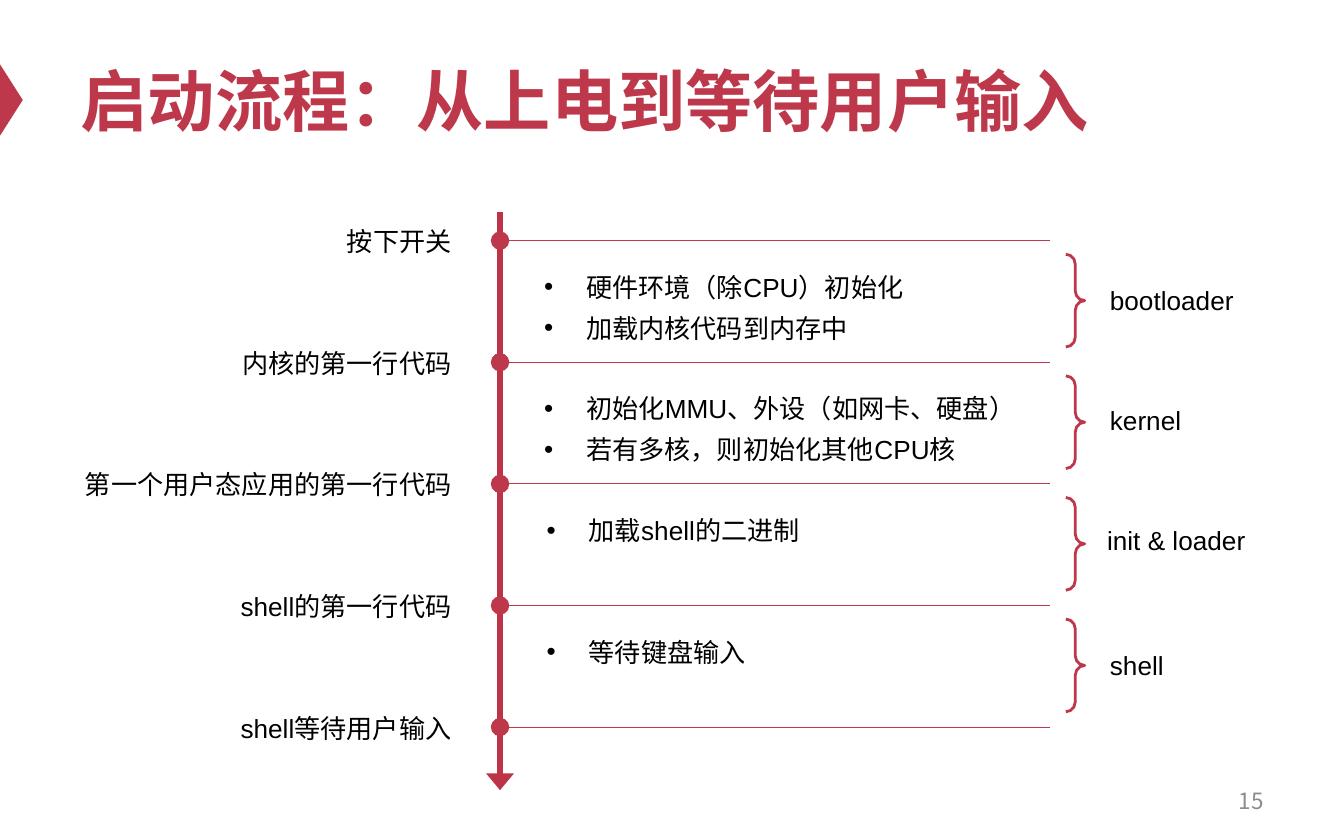
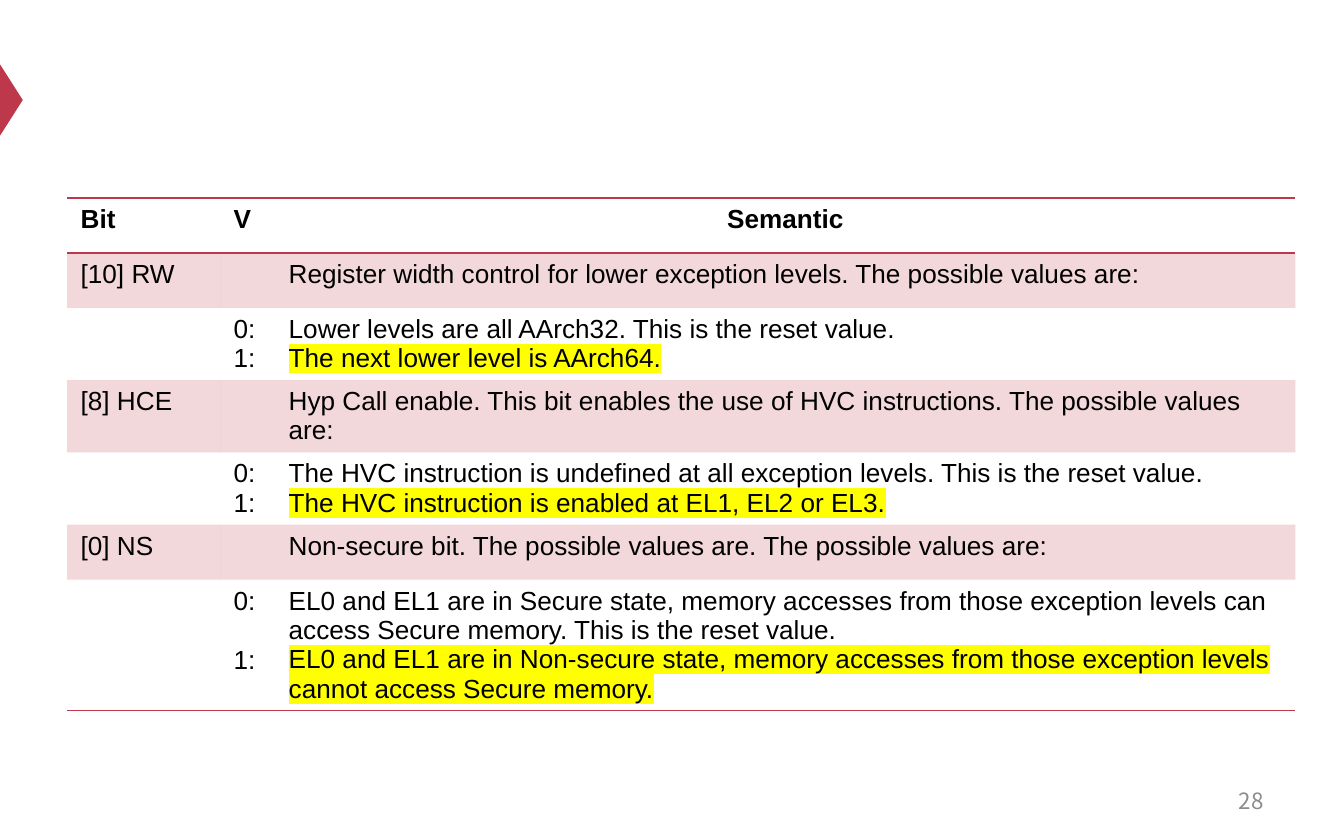
from collections import namedtuple

from lxml.etree import SubElement
from pptx import Presentation
from pptx.dml.color import RGBColor
from pptx.enum.shapes import MSO_CONNECTOR as Connector, MSO_SHAPE as Preset
from pptx.enum.text import MSO_ANCHOR as Anchor, MSO_AUTO_SIZE as AutoSize, PP_ALIGN as Align
from pptx.oxml.ns import qn
from pptx.util import Pt

COLORS = {"accent": "BE384B", "axis": "BD3347", "text": "000000", "page": "8C8C8C", "mark": "FFFF00"}
FONT = "Arial"
PAGE_FONT = "Noto Sans CJK SC"
NO_STYLE = "{2D5ABB26-0587-4C30-8999-92F81FD0307C}"
TITLE_ONLY, BLANK = 5, 6

Box = namedtuple("Box", "left top width height")
Moment = namedtuple("Moment", "label width")
Stage = namedtuple("Stage", "name left drop width steps indent")

TITLE_BOX = Box(36, 18, 648, 70.5)
MARKER_BOX = Box(-13, 47.5, 38.2, 12.2)
PAGE_BOX = Box(516, 417, 168, 24)
TIMELINE_BOX = Box(36, 113.8, 640, 309.5)
TABLE_BOX = Box(36, 106, 658, 206.5)

MOMENTS = [
    Moment("按下开关", 71.5),
    Moment("内核的第一行代码", 127.5),
    Moment("第一个用户态应用的第一行代码", 212.5),
    Moment("shell的第一行代码", 128),
    Moment("shell等待用户输入", 128),
]
STAGES = [
    Stage("bootloader", 551.5, 20, 81.5, ["硬件环境（除CPU）初始化", "加载内核代码到内存中"], 248.4),
    Stage("kernel", 551.5, 19, 52.5, ["初始化MMU、外设（如网卡、硬盘）", "若有多核，则初始化其他CPU核"], 248.4),
    Stage("init & loader", 550, 18, 89.5, ["加载shell的二进制"], 249.8),
    Stage("shell", 551.5, 20, 44, ["等待键盘输入"], 249.8),
]
COLUMN_WIDTHS = [82, 29.5, 546.5]
REGISTER_BITS = [
    (
        "[10] RW",
        "Register width control for lower exception levels. The possible values are:",
        "Lower levels are all AArch32. This is the reset value.",
        "The next lower level is AArch64.",
    ),
    (
        "[8] HCE",
        "Hyp Call enable. This bit enables the use of HVC instructions. The possible values are:",
        "The HVC instruction is undefined at all exception levels. This is the reset value.",
        "The HVC instruction is enabled at EL1, EL2 or EL3.",
    ),
    (
        "[0] NS",
        "Non-secure bit. The possible values are. The possible values are:",
        "EL0 and EL1 are in Secure state, memory accesses from those exception levels can access "
        "Secure memory. This is the reset value.",
        "EL0 and EL1 are in Non-secure state, memory accesses from those exception levels cannot "
        "access Secure memory.",
    ),
]


def rgb(color):
    return RGBColor.from_string(COLORS[color])


def points(box):
    return [Pt(length) for length in box]


def style(paragraph, size=14, color="text", font=FONT, bold=False, align=Align.LEFT):
    paragraph.alignment = align
    paragraph.font.size = Pt(size)
    paragraph.font.name = font
    paragraph.font.bold = bold
    paragraph.font.color.rgb = rgb(color)


def write_lines(frame, lines, **look):
    for index, line in enumerate(lines):
        paragraph = frame.add_paragraph() if index else frame.paragraphs[0]
        paragraph.text = line
        style(paragraph, **look)


def add_text(slide, box, text, wrap=True, anchor=Anchor.TOP, **look):
    frame = slide.shapes.add_textbox(*points(box)).text_frame
    frame.word_wrap = wrap
    frame.auto_size = AutoSize.NONE if wrap else AutoSize.SHAPE_TO_FIT_TEXT
    frame.vertical_anchor = anchor
    write_lines(frame, [text], **look)


def add_bullets(slide, box, steps):
    frame = slide.shapes.add_textbox(*points(box)).text_frame
    frame.word_wrap = True
    for index, step in enumerate(steps):
        paragraph = frame.add_paragraph() if index else frame.paragraphs[0]
        paragraph.text = step
        paragraph.line_spacing = 1.3
        properties = paragraph._p.get_or_add_pPr()
        properties.set("marL", str(Pt(22.5)))
        properties.set("indent", str(-Pt(22.5)))
        SubElement(properties, qn("a:buFont"), typeface=FONT)
        SubElement(properties, qn("a:buChar"), char="•")
        style(paragraph)


def add_line(slide, start, end, color, weight, tip, kind, length):
    line = slide.shapes.add_connector(Connector.STRAIGHT, *points(start + end))
    line.line.color.rgb = rgb(color)
    line.line.width = Pt(weight)
    SubElement(line.line._get_or_add_ln(), qn(tip), type=kind, w="lg", len=length)
    SubElement(line._element.spPr, qn("a:effectLst"))


def add_brace(slide, box):
    brace = slide.shapes.add_shape(Preset.RIGHT_BRACE, *points(box))
    brace.shadow.inherit = False
    brace.adjustments[0] = 0.52
    brace.fill.background()
    brace.line.color.rgb = rgb("accent")
    brace.line.width = Pt(1.5)


def add_marker(slide, box):
    marker = slide.shapes.add_shape(Preset.ISOSCELES_TRIANGLE, *points(box))
    marker.shadow.inherit = False
    marker.rotation = 90
    marker.fill.solid()
    marker.fill.fore_color.rgb = rgb("accent")
    marker.line.fill.background()


def add_title(slide, box, text):
    title = slide.shapes.title
    title.left, title.top, title.width, title.height = points(box)
    title.text_frame.auto_size = AutoSize.NONE
    title.text_frame.vertical_anchor = Anchor.MIDDLE
    write_lines(title.text_frame, [text], size=36, color="accent", bold=True)


def start_slide(deck, layout, page):
    slide = deck.slides.add_slide(deck.slide_layouts[layout])
    add_marker(slide, MARKER_BOX)
    add_text(slide, PAGE_BOX, page, anchor=Anchor.MIDDLE,
             size=12, color="page", font=PAGE_FONT, align=Align.RIGHT)
    return slide


def add_timeline(slide, box):
    axis = box.left + 231.9
    gap = 65.15
    first = box.top + 15.1
    add_line(slide, (axis, box.top), (axis, box.top + box.height), "axis", 3,
             "a:tailEnd", "triangle", "med")
    for index, moment in enumerate(MOMENTS):
        y = first + index * gap
        add_text(slide, Box(axis - 18.8 - moment.width, y - 11.6, moment.width, 24.5),
                 moment.label, align=Align.RIGHT)
        add_line(slide, (axis, y), (axis + 294.6, y), "accent", 0.5, "a:headEnd", "oval", "lg")
    for index, stage in enumerate(STAGES):
        y = first + index * gap
        add_bullets(slide, Box(box.left + stage.indent, y + 7.8, 278.5, 5.4 + 21.8 * len(stage.steps)),
                    stage.steps)
        add_brace(slide, Box(box.left + 535, y + 7.3, 10.1, 49.7))
        add_text(slide, Box(box.left + stage.left, y + stage.drop, stage.width, 24.5),
                 stage.name, wrap=False)


def add_border(cell, edge):
    border = SubElement(cell._tc.get_or_add_tcPr(), qn(edge), w=str(Pt(1)))
    SubElement(SubElement(border, qn("a:solidFill")), qn("a:srgbClr"), val=COLORS["accent"])


def tint(cell):
    cell.fill.solid()
    cell.fill.fore_color.rgb = rgb("accent")
    color = next(cell._tc.tcPr.iter(qn("a:srgbClr")))
    SubElement(color, qn("a:alpha"), val="20000")


def highlight(paragraph):
    mark = SubElement(paragraph.runs[0]._r.get_or_add_rPr(), qn("a:highlight"))
    SubElement(mark, qn("a:srgbClr"), val=COLORS["mark"])


def add_register_table(slide, box):
    rows = [(["Bit"], ["V"], ["Semantic"])]
    for bit, meaning, zero, one in REGISTER_BITS:
        rows += [([bit], [""], [meaning]), ([""], ["0:", "1:"], [zero, one])]
    table = slide.shapes.add_table(len(rows), len(COLUMN_WIDTHS), *points(box)).table
    table.first_row = table.horz_banding = False
    table._tbl.tblPr.find(qn("a:tableStyleId")).text = NO_STYLE
    for column, width in zip(table.columns, COLUMN_WIDTHS):
        column.width = Pt(width)
    last = len(rows) - 1
    for r, row in enumerate(rows):
        for c, lines in enumerate(row):
            cell = table.cell(r, c)
            centred = r == 0 and c == 2
            write_lines(cell.text_frame, lines, bold=r == 0, align=Align.CENTER if centred else Align.LEFT)
            if r == 0:
                add_border(cell, "a:lnT")
            if r in (0, last):
                add_border(cell, "a:lnB")
            if r % 2:
                tint(cell)
            else:
                cell.fill.background()
            if c == 2 and len(lines) == 2:
                highlight(cell.text_frame.paragraphs[1])
    table.cell(last, 1).text_frame.paragraphs[1].space_before = Pt(16)


def build_boot_slide(deck):
    slide = start_slide(deck, TITLE_ONLY, "15")
    add_title(slide, TITLE_BOX, "启动流程：从上电到等待用户输入")
    add_timeline(slide, TIMELINE_BOX)


def build_register_slide(deck):
    slide = start_slide(deck, BLANK, "28")
    add_register_table(slide, TABLE_BOX)


def main():
    deck = Presentation()
    deck.slide_width, deck.slide_height = Pt(720), Pt(450)
    build_boot_slide(deck)
    build_register_slide(deck)
    deck.save("out.pptx")


if __name__ == "__main__":
    main()
